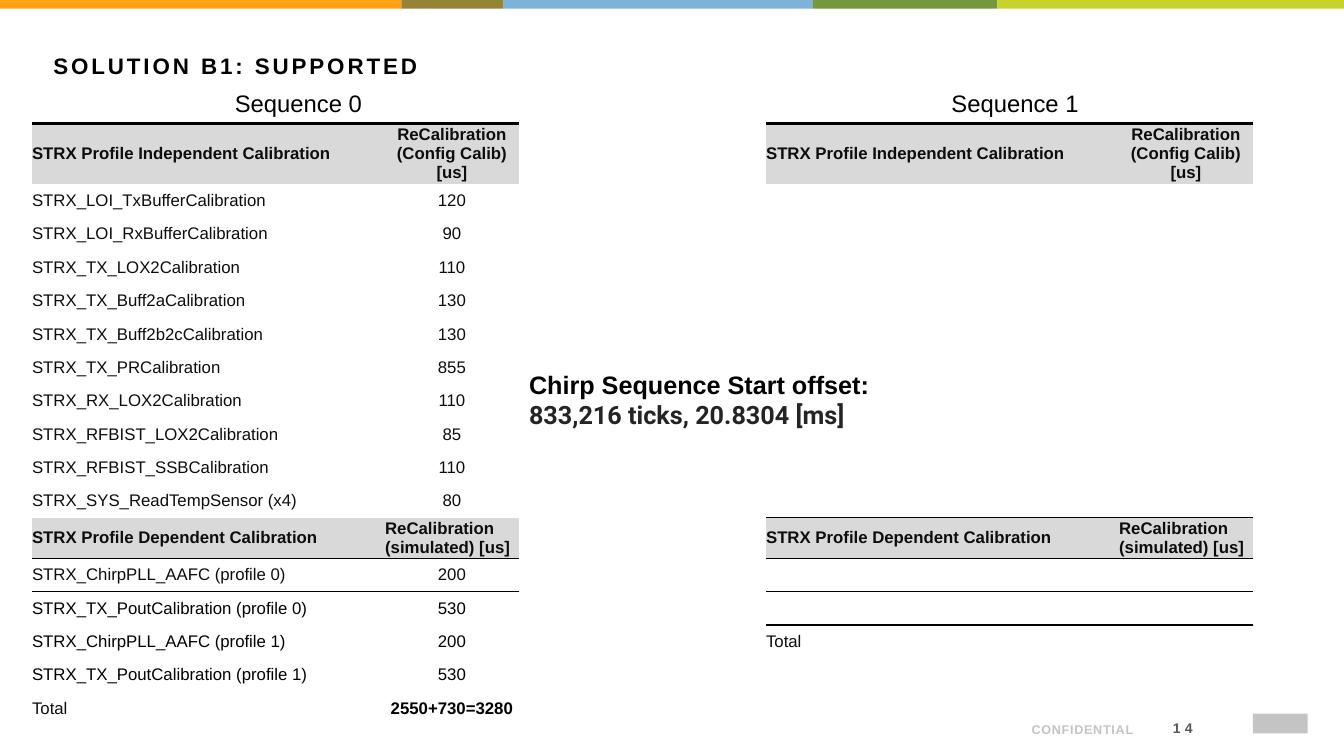
from lxml import etree
from pptx import Presentation
from pptx.dml.color import RGBColor
from pptx.enum.shapes import MSO_SHAPE
from pptx.enum.text import MSO_ANCHOR, PP_ALIGN
from pptx.oxml.ns import qn
from pptx.util import Pt

RECT = MSO_SHAPE.RECTANGLE
TOP, MIDDLE, BOTTOM = MSO_ANCHOR.TOP, MSO_ANCHOR.MIDDLE, MSO_ANCHOR.BOTTOM
LEFT, CENTER, RIGHT = PP_ALIGN.LEFT, PP_ALIGN.CENTER, PP_ALIGN.RIGHT
PLAIN_TABLE = "{2D5ABB26-0587-4C30-8999-92F81FD0307C}"

THEME = {
    "font": "Arial", "accent_font": "Roboto",
    "black": "000000", "body": "0D0D0D", "offset": "242424",
    "page": "595959", "muted": "C4C4C4", "section": "D9D9D9", "cell": "FFFFFF",
    "title_size": 16, "caption_size": 17, "note_size": 18,
    "table_size": 12, "page_size": 10, "footer_size": 9,
}

# Colour and width of each part of the top band
BAND = [("FFA015", 286.8), ("958436", 72.5), ("7DB2DB", 221),
        ("73983E", 132.2), ("C7D22D", 247.5)]

INDEPENDENT = ("STRX Profile Independent Calibration",
               "ReCalibration\n(Config Calib) [us]")
DEPENDENT = ("STRX Profile Dependent Calibration",
             "ReCalibration\n(simulated) [us]")
EMPTY = ("", "")

SEQUENCE_0 = [
    INDEPENDENT,
    ("STRX_LOI_TxBufferCalibration", "120"),
    ("STRX_LOI_RxBufferCalibration", "90"),
    ("STRX_TX_LOX2Calibration", "110"),
    ("STRX_TX_Buff2aCalibration", "130"),
    ("STRX_TX_Buff2b2cCalibration", "130"),
    ("STRX_TX_PRCalibration", "855"),
    ("STRX_RX_LOX2Calibration", "110"),
    ("STRX_RFBIST_LOX2Calibration", "85"),
    ("STRX_RFBIST_SSBCalibration", "110"),
    ("STRX_SYS_ReadTempSensor (x4)", "80"),
    DEPENDENT,
    ("STRX_ChirpPLL_AAFC (profile 0)", "200"),
    ("STRX_TX_PoutCalibration (profile 0)", "530"),
    ("STRX_ChirpPLL_AAFC (profile 1)", "200"),
    ("STRX_TX_PoutCalibration (profile 1)", "530"),
    ("Total", "2550+730=3280"),
]
SEQUENCE_1 = [INDEPENDENT, *[EMPTY] * 10, DEPENDENT, *[EMPTY] * 2, ("Total", "")]

# Caption, caption left, table left, rows, line weight above each ruled row
SEQUENCES = [
    ("Sequence 0", 160.6, 22.9, SEQUENCE_0, {0: 2, 12: 1}),
    ("Sequence 1", 672.5, 547.2, SEQUENCE_1, {0: 2, 11: 1, 12: 1, 14: 1.5}),
]
TABLE_TOP, COLUMNS = 88.2, (252.2, 95.4)
HEADER_HEIGHT, ROW_HEIGHT = 32.4, 23.86


def rgb(name):
    return RGBColor.from_string(THEME.get(name, name))


def style(p, size, color, bold=False, font="font", align=LEFT):
    p.alignment = align
    p.font.size, p.font.bold = Pt(THEME[size]), bold
    p.font.name, p.font.color.rgb = THEME[font], rgb(color)


def add_text(s, box, text, size, color, bold=False, align=LEFT, anchor=TOP,
             spacing=0):
    """Add a text box; spacing is the letter spacing in points."""
    tf = s.shapes.add_textbox(*map(Pt, box)).text_frame
    tf.word_wrap, tf.vertical_anchor = True, anchor
    tf.text = text
    for p in tf.paragraphs:
        style(p, size, color, bold, align=align)
        if spacing:
            for r in p.runs:
                r.font._element.set("spc", str(round(spacing * 100)))
    return tf


def add_bar(s, box, color):
    sp = s.shapes.add_shape(RECT, *map(Pt, box))
    sp.shadow.inherit = False
    sp.fill.solid()
    sp.fill.fore_color.rgb = rgb(color)
    sp.line.fill.background()


def set_borders(cell, above, below):
    """Draw the cell's top and bottom lines; the XML puts them before the fill."""
    tc_pr = cell._tc.get_or_add_tcPr()
    position = 0
    for tag, weight in (("a:lnT", above), ("a:lnB", below)):
        if weight:
            ln = etree.Element(qn(tag), w=str(Pt(weight)))
            fill = etree.SubElement(ln, qn("a:solidFill"))
            etree.SubElement(fill, qn("a:srgbClr"), val=THEME["black"])
            tc_pr.insert(position, ln)
            position += 1


def add_calibration_table(s, left, rows, rules):
    height = HEADER_HEIGHT + ROW_HEIGHT * (len(rows) - 1)
    frame = s.shapes.add_table(len(rows), len(COLUMNS), Pt(left), Pt(TABLE_TOP),
                               Pt(sum(COLUMNS)), Pt(height))
    table = frame.table
    table.first_row = table.horz_banding = False
    table._tbl.tblPr.find(qn("a:tableStyleId")).text = PLAIN_TABLE
    for column, width in zip(table.columns, COLUMNS):
        column.width = Pt(width)
    for i, row in enumerate(rows):
        table.rows[i].height = Pt(ROW_HEIGHT if i else HEADER_HEIGHT)
        section = row in (INDEPENDENT, DEPENDENT)
        for j, text in enumerate(row):
            cell = table.cell(i, j)
            cell.margin_left = cell.margin_right = 0
            cell.margin_top = cell.margin_bottom = 0
            cell.vertical_anchor = MIDDLE
            cell.fill.solid()
            cell.fill.fore_color.rgb = rgb("section" if section else "cell")
            set_borders(cell, rules.get(i), rules.get(i + 1))
            total = row[0] == "Total" and j == 1
            color = "black" if total or 13 <= i <= 15 and row[0] != "Total" else "body"
            align = CENTER if j and row != DEPENDENT else LEFT
            cell.text = text
            for p in cell.text_frame.paragraphs:
                style(p, "table_size", color, section or total, align=align)


def main():
    prs = Presentation()
    prs.slide_width, prs.slide_height = Pt(960), Pt(540)
    s = prs.slides.add_slide(prs.slide_layouts[6])

    left = 0
    for color, width in BAND:
        add_bar(s, (left, 0, width, 6.3), color)
        left += width
    add_bar(s, (895, 509.8, 39, 14), "muted")

    add_text(s, (812.2, 509, 46.8, 21.6), "14", "page_size", "page", True,
             RIGHT, MIDDLE, 3)
    add_text(s, (612.7, 505.4, 203.8, 24.5), "CONFIDENTIAL", "footer_size",
             "muted", True, RIGHT, BOTTOM, 0.5)
    add_text(s, (31, 33.5, 900, 51.8), "SOLUTION B1: SUPPORTED", "title_size",
             "black", True, spacing=2.1)

    for caption, caption_left, table_left, rows, rules in SEQUENCES:
        add_calibration_table(s, table_left, rows, rules)
        add_text(s, (caption_left, 60, 110, 72), caption, "caption_size", "black")

    tf = add_text(s, (370.8, 260, 270, 72),
                  "Chirp Sequence Start offset:\n833,216 ticks, 20.8304 [ms]",
                  "note_size", "black", True)
    style(tf.paragraphs[1], "note_size", "offset", True, "accent_font")

    prs.save("out.pptx")


if __name__ == "__main__":
    main()
